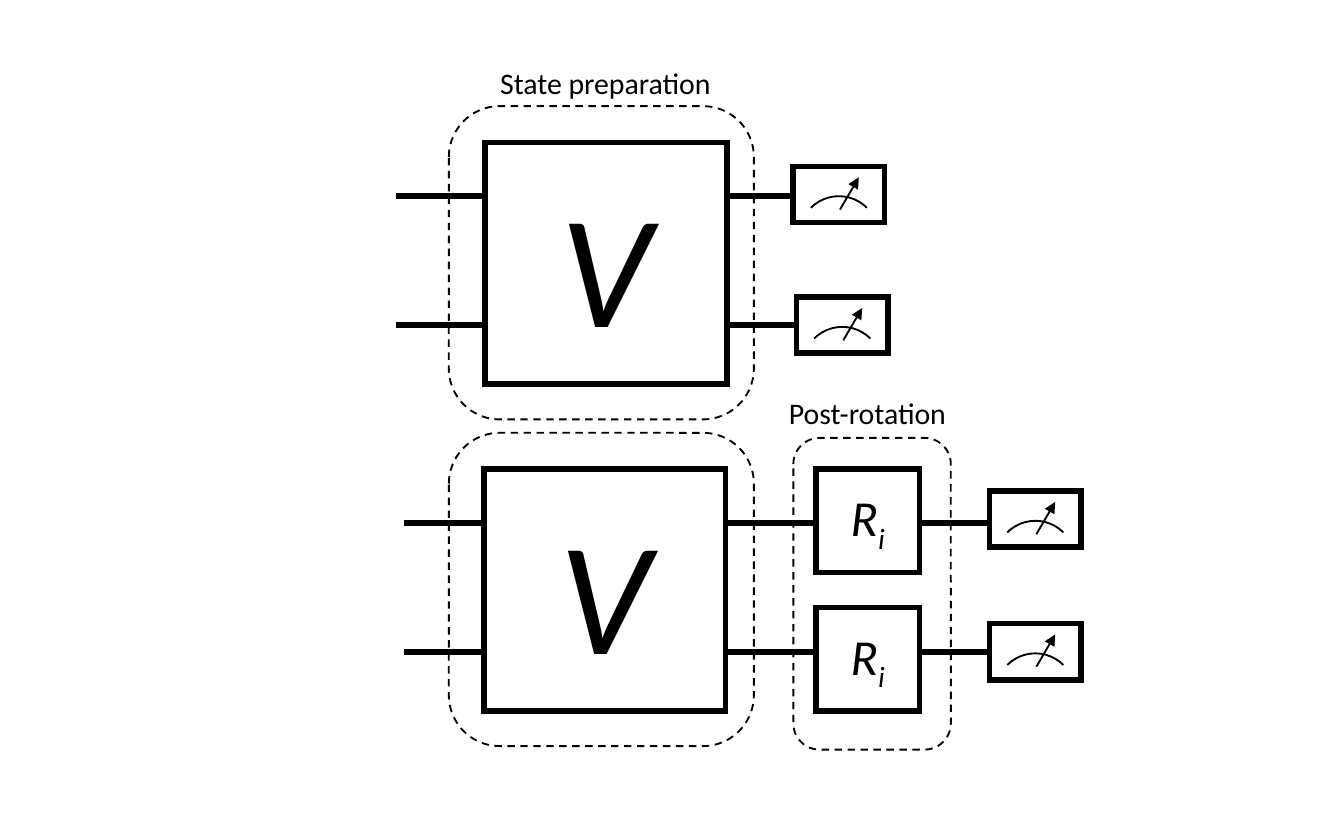
from pptx import Presentation
from pptx.dml.color import RGBColor
from pptx.enum.dml import MSO_LINE
from pptx.enum.shapes import MSO_CONNECTOR, MSO_SHAPE
from pptx.enum.text import MSO_ANCHOR, MSO_AUTO_SIZE, PP_ALIGN
from pptx.oxml.ns import qn
from pptx.util import Pt
from lxml import etree

RECT, ROUNDED, ARC = MSO_SHAPE.RECTANGLE, MSO_SHAPE.ROUNDED_RECTANGLE, MSO_SHAPE.ARC
STRAIGHT = MSO_CONNECTOR.STRAIGHT
DASH = MSO_LINE.DASH
MIDDLE, CENTER = MSO_ANCHOR.MIDDLE, PP_ALIGN.CENTER
FIT_SHAPE = MSO_AUTO_SIZE.SHAPE_TO_FIT_TEXT

BLACK, WHITE = "000000", "FFFFFF"
THICK, THIN = 3, 1
FONT = "Calibri"
V_SIDE, R_SIDE = 129.6, 55.4
WIRE_GAP = 69.1
FRAME_WIDTH, FRAME_HEIGHT = 163.4, 167.8


def color(hex_value):
    return RGBColor.from_string(hex_value)


def set_line(item, width):
    item.line.color.rgb = color(BLACK)
    item.line.width = Pt(width)


def add_outline(shapes, kind, left, top, width, height, weight, fill=None):
    shape = shapes.add_shape(kind, Pt(left), Pt(top), Pt(width), Pt(height))
    shape.shadow.inherit = False
    if fill:
        shape.fill.solid()
        shape.fill.fore_color.rgb = color(fill)
    else:
        shape.fill.background()
    set_line(shape, weight)
    return shape


def add_box(shapes, left, top, width, height):
    box = add_outline(shapes, RECT, left, top, width, height, THICK, WHITE)
    # Square corners on the heavy outline
    etree.SubElement(box.line._get_or_add_ln(), qn("a:miter"), lim="800000")
    return box


def add_line(shapes, start, end, weight, arrow=False):
    line = shapes.add_connector(STRAIGHT, *(Pt(value) for value in start + end))
    set_line(line, weight)
    if arrow:
        etree.SubElement(line.line._get_or_add_ln(), qn("a:tailEnd"), type="triangle")
    etree.SubElement(line._element.spPr, qn("a:effectLst"))
    return line


def add_span(para, text, size, italic=False):
    span = para.add_run()
    span.text = text
    formats = {"name": FONT, "size": Pt(size), "italic": italic}
    for name, value in formats.items():
        setattr(span.font, name, value)
    span.font.color.rgb = color(BLACK)
    return span


def add_gate(shapes, left, top, side, name, size, subscript=""):
    frame = add_box(shapes, left, top, side, side).text_frame
    formats = {
        "vertical_anchor": MIDDLE, "word_wrap": True,
        "margin_left": Pt(5), "margin_right": Pt(5),
        "margin_top": Pt(2.5), "margin_bottom": Pt(2.5),
    }
    for key, value in formats.items():
        setattr(frame, key, value)
    para = frame.paragraphs[0]
    para.alignment = CENTER
    add_span(para, name, size, italic=True)
    if subscript:
        span = add_span(para, subscript, size, italic=True)
        span._r.get_or_add_rPr().set("baseline", "-25000")


def add_meter(shapes, left, top):
    parts = shapes.add_group_shape().shapes
    add_box(parts, left, top, 49, 30.2)
    dial = add_outline(parts, ARC, left + 3.4, top + 16, 42.5, 42.5, THIN)
    dial.rotation = 315
    add_line(parts, (left + 25.2, top + 23.2), (left + 35.3, top + 5.9), THIN, arrow=True)


def add_wires(shapes, left, right, top):
    for y in (top, top + WIRE_GAP):
        add_line(shapes, (left, y), (right, y), THICK)


def add_frame(shapes, left, top, width, height):
    frame = add_outline(shapes, ROUNDED, left, top, width, height, THIN)
    frame.line.dash_style = DASH


def add_label(shapes, left, top, width, text):
    box = shapes.add_textbox(Pt(left), Pt(top), Pt(width), Pt(26.6))
    box.text_frame.word_wrap = False
    box.text_frame.auto_size = FIT_SHAPE
    para = box.text_frame.paragraphs[0]
    para.alignment = CENTER
    add_span(para, text, 16)


def main():
    deck = Presentation()
    deck.slide_width, deck.slide_height = Pt(720), Pt(450)
    page = deck.slides.add_slide(deck.slide_layouts[6])
    shapes = page.shapes

    # Upper circuit: preparation, then direct measurement
    add_wires(shapes, 212.4, 441.4, 105.1)
    add_gate(shapes, 259.9, 76.3, V_SIDE, "V", 86.2)
    for left, top in ((424.8, 89.1), (426.6, 159.1)):
        add_meter(shapes, left, top)

    # Lower circuit: preparation, rotation, measurement
    add_wires(shapes, 216.7, 549.4, 280.2)
    add_gate(shapes, 259.2, 251.2, V_SIDE, "V", 86.2)
    for top in (263, 334):
        add_meter(shapes, 530, top)
    for top in (251.3, 325.5):
        add_gate(shapes, 437.2, top, R_SIDE, "R", 27, subscript="i")

    # Dashed stage frames
    for top in (56.9, 231.9):
        add_frame(shapes, 240.5, top, FRAME_WIDTH, FRAME_HEIGHT)
    add_frame(shapes, 425, 234.6, 84.4, 167)

    # Stage labels
    add_label(shapes, 259.9, 31, 128.9, "State preparation")
    add_label(shapes, 414.7, 208.1, 100.1, "Post-rotation")

    deck.save("out.pptx")


if __name__ == "__main__":
    main()
